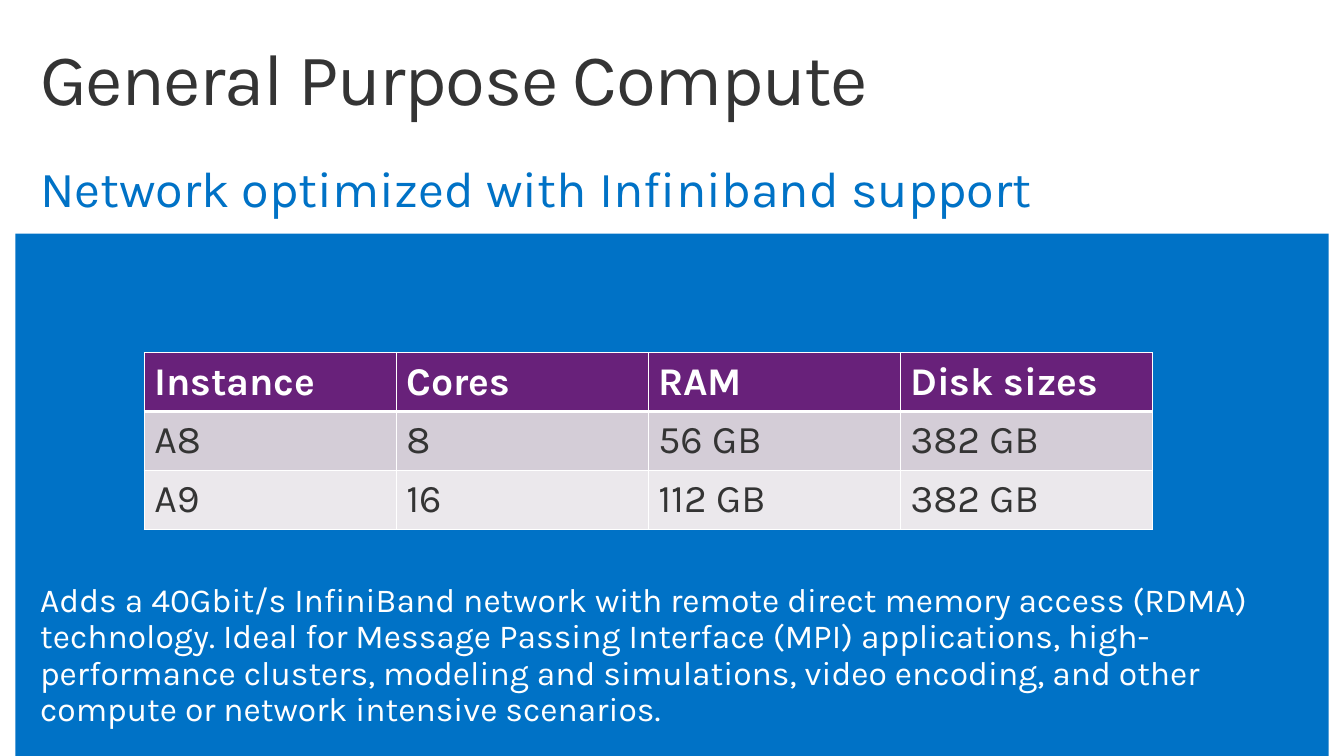
from lxml import etree
from pptx import Presentation
from pptx.dml.color import RGBColor
from pptx.enum import shapes, text
from pptx.oxml.ns import qn
from pptx.util import Pt

COLORS = {"blue": "0072C6", "white": "FFFFFF", "dark": "343434",
          "purple": "68217A", "band1": "D4CDD7", "band2": "EBE8EC"}


def rgb(name):
    return RGBColor.from_string(COLORS[name])


class SlideBuilder:
    font = "Karla"

    def __init__(self, slide):
        self.s = slide

    def background(self, color):
        fill = self.s.background.fill
        fill.solid()
        fill.fore_color.rgb = rgb(color)

    def rect(self, x, y, w, h, color):
        sp = self.s.shapes.add_shape(shapes.MSO_SHAPE.RECTANGLE,
                                     Pt(x), Pt(y), Pt(w), Pt(h))
        sp.shadow.inherit = False
        sp.fill.solid()
        sp.fill.fore_color.rgb = rgb(color)
        sp.line.fill.background()

    def run(self, p, content, size, color, bold=False, spacing=None):
        r = p.add_run()
        r.text = content
        for key, value in {"name": self.font, "size": Pt(size), "bold": bold}.items():
            setattr(r.font, key, value)
        r.font.color.rgb = rgb(color)
        if spacing:
            r._r.get_or_add_rPr().set("spc", str(spacing * 100))

    def textbox(self, x, y, w, h, content, size, color, top=3.6, spacing=None):
        tf = self.s.shapes.add_textbox(Pt(x), Pt(y), Pt(w), Pt(h)).text_frame
        frame = {"word_wrap": True, "margin_top": Pt(top),
                 "vertical_anchor": text.MSO_ANCHOR.TOP}
        for key, value in frame.items():
            setattr(tf, key, value)
        p = tf.paragraphs[0]
        p.line_spacing = 0.9
        self.run(p, content, size, color, spacing=spacing)

    def border(self, cell, side, width):
        ln = etree.SubElement(cell._tc.get_or_add_tcPr(), qn(f"a:ln{side}"),
                              w=str(Pt(width)))
        fill = etree.SubElement(ln, qn("a:solidFill"))
        etree.SubElement(fill, qn("a:srgbClr"), val=COLORS["white"])

    def table(self, x, y, col_w, row_h, rows, fills, size):
        n_cols = len(rows[0])
        tbl = self.s.shapes.add_table(len(rows), n_cols, Pt(x), Pt(y),
                                      Pt(col_w * n_cols), Pt(row_h * len(rows))).table
        tbl.horz_banding = False
        for col in tbl.columns:
            col.width = Pt(col_w)
        for i, (values, fill) in enumerate(zip(rows, fills)):
            tbl.rows[i].height = Pt(row_h)
            header = i == 0
            # Thick rule between header and body
            widths = {"L": 1, "R": 1, "T": 3 if i == 1 else 1, "B": 3 if header else 1}
            for j, value in enumerate(values):
                cell = tbl.cell(i, j)
                cell.vertical_anchor = text.MSO_ANCHOR.MIDDLE
                for side, width in widths.items():
                    self.border(cell, side, width)
                cell.fill.solid()
                cell.fill.fore_color.rgb = rgb(fill)
                self.run(cell.text_frame.paragraphs[0], value, size,
                         "white" if header else "dark", bold=header)


def main():
    prs = Presentation()
    prs.slide_width, prs.slide_height = Pt(960), Pt(540)
    b = SlideBuilder(prs.slides.add_slide(prs.slide_layouts[6]))

    # White frame around the blue panel
    b.background("blue")
    for x, w, h in [(0, 11, 540), (949, 11, 540), (0, 960, 167)]:
        b.rect(x, 0, w, h, "white")

    # Headings
    b.textbox(21.6, 23, 777.6, 72.7, "General Purpose Compute", 52, "dark",
              top=7.2, spacing=-1)
    b.textbox(21.6, 110.2, 777.6, 50.4, "Network optimized with Infiniband support",
              36, "blue", top=7.2)

    # Instance sizes
    b.table(103, 252, 180, 42,
            [["Instance", "Cores", "RAM", "Disk sizes"],
             ["A8", "8", "56 GB", "382 GB"],
             ["A9", "16", "112 GB", "382 GB"]],
            ["purple", "band1", "band2"], 28)

    # Description
    b.textbox(21.6, 413.3, 914.4, 97.9,
              "Adds a 40Gbit/s InfiniBand network with remote direct memory access (RDMA) "
              "technology. Ideal for Message Passing Interface (MPI) applications, "
              "high-performance clusters, modeling and simulations, video encoding, and "
              "other compute or network intensive scenarios.", 24, "white")

    prs.save("out.pptx")


if __name__ == "__main__":
    main()
